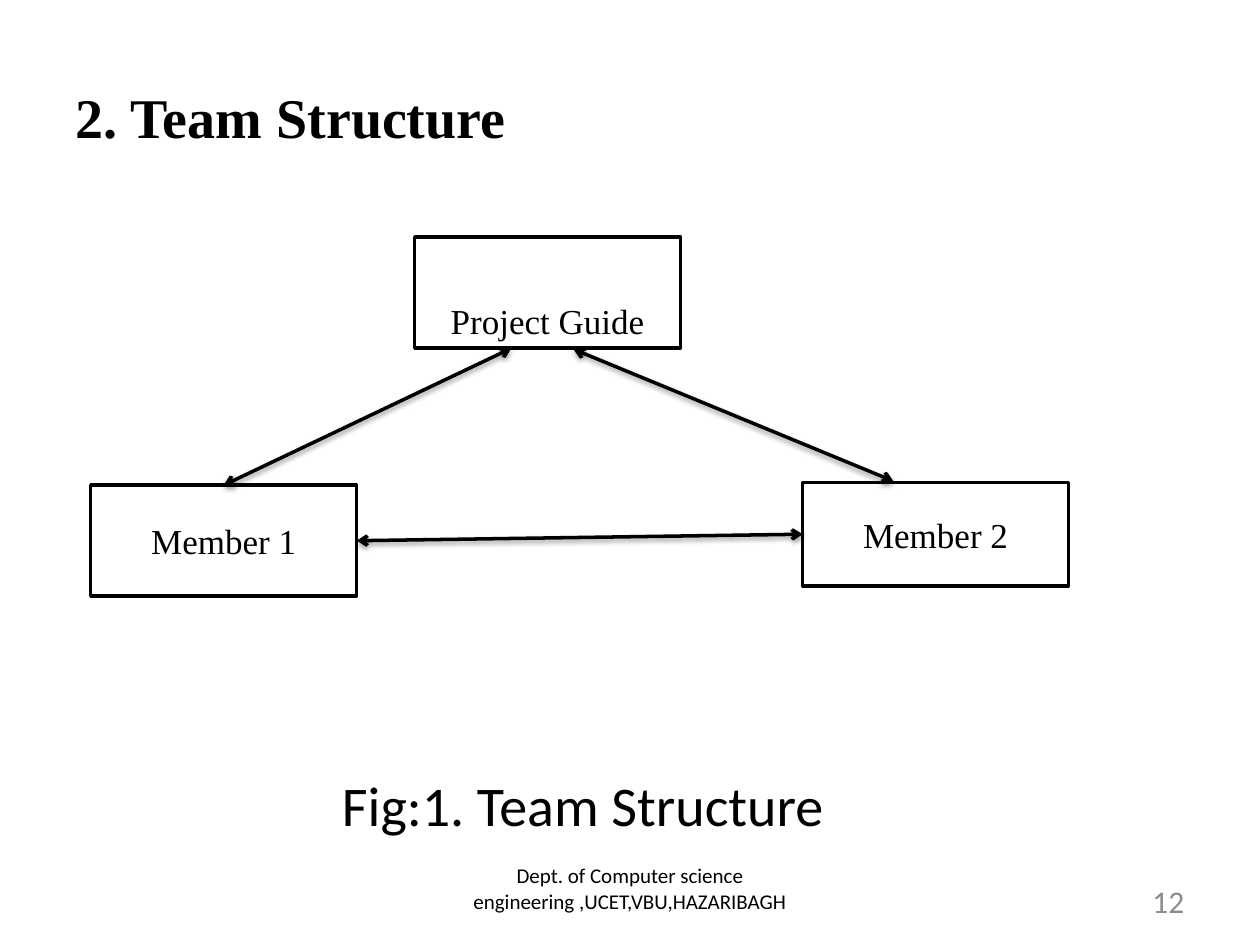
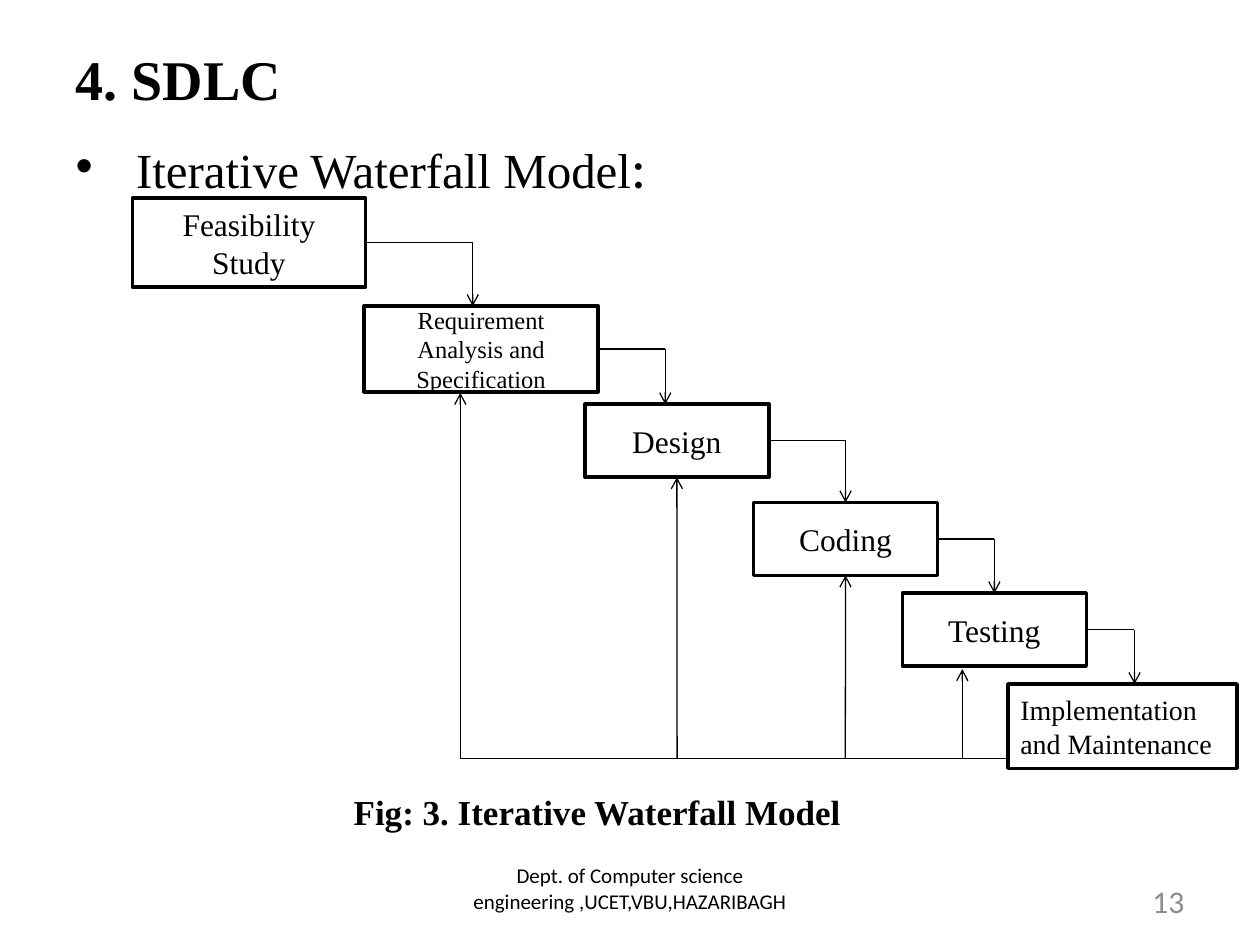
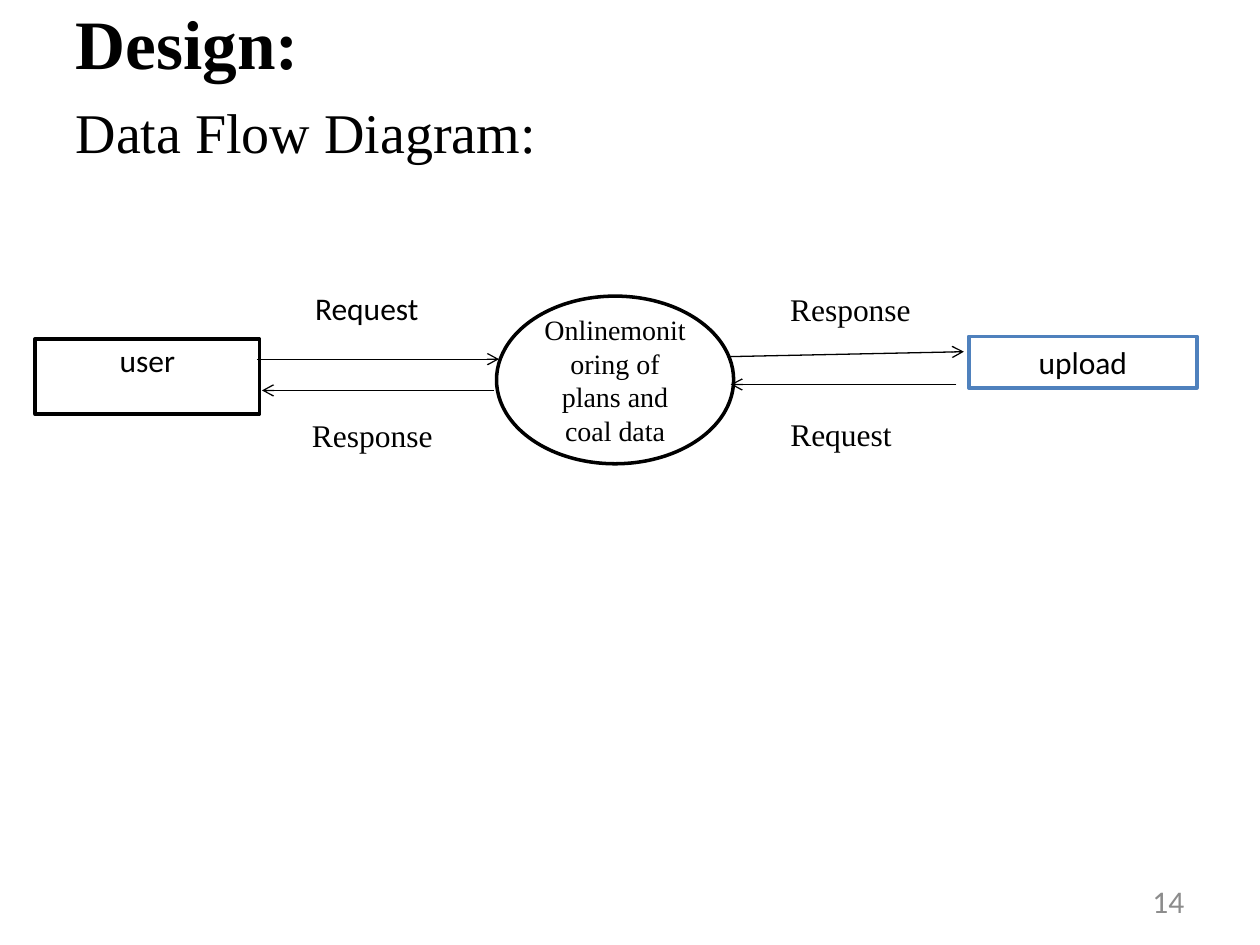
from copy import deepcopy
from dataclasses import dataclass

from lxml.etree import SubElement
from pptx import Presentation
from pptx.dml.color import RGBColor
from pptx.enum.shapes import MSO_CONNECTOR, MSO_SHAPE, PP_PLACEHOLDER
from pptx.enum.text import MSO_ANCHOR, MSO_AUTO_SIZE, PP_ALIGN
from pptx.oxml import parse_xml
from pptx.oxml.ns import nsdecls, qn
from pptx.util import Cm, Pt


@dataclass(frozen=True)
class Theme:
    ink: RGBColor = RGBColor(0x00, 0x00, 0x00)
    paper: RGBColor = RGBColor(0xFF, 0xFF, 0xFF)
    accent: RGBColor = RGBColor(0x4F, 0x81, 0xBD)
    muted: RGBColor = RGBColor(0x8C, 0x8C, 0x8C)
    serif: str = "Times New Roman"
    sans: str = "Calibri"
    heading: float = 32
    big_heading: float = 39.6
    subheading: float = 28
    member: float = 20
    label: float = 18
    dense: float = 16
    small: float = 14
    footer: float = 12
    outline: float = 2
    flow: float = 0.75


THEME = Theme()
TOP, LEFT, BOTTOM, RIGHT = range(4)
MARGIN_LEFT, CONTENT_WIDTH = 1.27, 22.86
DEPARTMENT = "Dept. of Computer science engineering ,UCET,VBU,HAZARIBAGH"
SOFT_SHADOW = (
    f'<a:effectLst {nsdecls("a")}><a:outerShdw blurRad="39370" dist="20320" dir="5400000" '
    'rotWithShape="0"><a:srgbClr val="000000"><a:alpha val="38000"/></a:srgbClr>'
    "</a:outerShdw></a:effectLst>"
)


def draw_box(slide, text, place, size=THEME.label, font=THEME.sans,
             outline=THEME.ink, kind=MSO_SHAPE.RECTANGLE):
    box = slide.shapes.add_shape(kind, *map(Cm, place))
    box.shadow.inherit = False
    box.fill.solid()
    box.fill.fore_color.rgb = THEME.paper
    box.line.color.rgb = outline
    box.line.width = Pt(THEME.outline)
    box.text_frame.text = text
    box.text_frame.word_wrap = True
    box.text_frame.vertical_anchor = MSO_ANCHOR.MIDDLE
    for paragraph in box.text_frame.paragraphs:
        paragraph.alignment = PP_ALIGN.CENTER
        paragraph.font.size = Pt(size)
        paragraph.font.name = font
        paragraph.font.color.rgb = THEME.ink
    return box


def draw_line(slide, start, end, heads=(), width=THEME.flow, shadow=False):
    """Each end is a point (x, y) in cm or a pair (shape, side) to join."""
    joins = [isinstance(place[0], (int, float)) is False for place in (start, end)]
    points = [(0, 0) if joined else place for joined, place in zip(joins, (start, end))]
    line = slide.shapes.add_connector(
        MSO_CONNECTOR.STRAIGHT, *map(Cm, points[0] + points[1]))
    if joins[0]:
        line.begin_connect(*start)
    if joins[1]:
        line.end_connect(*end)
    line.line.color.rgb = THEME.ink
    line.line.width = Pt(width)
    properties = line.element.spPr
    for head in heads:
        SubElement(properties.find(qn("a:ln")), qn(f"a:{head}"), type="arrow")
    if shadow:
        properties.append(parse_xml(SOFT_SHADOW))
    else:
        SubElement(properties, qn("a:effectLst"))


prs = Presentation()
prs.slide_width, prs.slide_height = Cm(25.4), Cm(19.05)
first_number = 12
prs.element.set("firstSlideNum", str(first_number))

# title, size, top, height; body runs, top, height; footer shown
outline = [
    ("2. Team Structure", THEME.heading, 0.76, 3.18,
     [("Fig:1. Team Structure", THEME.heading, THEME.sans)], 3.56, 13.46, True),
    ("4. SDLC", THEME.heading, 0.76, 1.65,
     [("Iterative Waterfall Model", THEME.subheading, THEME.serif),
      (":", THEME.heading, THEME.sans)], 2.39, 16.66, True),
    ("Design:", THEME.big_heading, 0.15, 1.4,
     [("Data Flow Diagram:", THEME.heading, THEME.serif)], 1.68, 15.88, False),
]
for number, (heading, size, title_top, title_height, body_runs,
             body_top, body_height, has_footer) in enumerate(outline, first_number):
    slide = prs.slides.add_slide(prs.slide_layouts[1])
    title, body = slide.shapes.title, slide.placeholders[1]
    for holder, top, height in ((title, title_top, title_height),
                                (body, body_top, body_height)):
        holder.left, holder.width = Cm(MARGIN_LEFT), Cm(CONTENT_WIDTH)
        holder.top, holder.height = Cm(top), Cm(height)
        holder.text_frame.auto_size = MSO_AUTO_SIZE.NONE
    title.text_frame.text = heading
    title.text_frame.vertical_anchor = MSO_ANCHOR.MIDDLE
    title_line = title.text_frame.paragraphs[0]
    title_line.alignment = PP_ALIGN.LEFT
    title_line.font.size, title_line.font.bold = Pt(size), True
    title_line.font.name, title_line.font.color.rgb = THEME.serif, THEME.ink

    body.text_frame.margin_top = Cm(0.28)
    body_line = body.text_frame.paragraphs[0]
    body_line.space_before = Pt(0)
    for text, run_size, font in body_runs:
        run = body_line.add_run()
        run.text = text
        run.font.size, run.font.name = Pt(run_size), font
        run.font.color.rgb = THEME.ink

    shown = [PP_PLACEHOLDER.SLIDE_NUMBER] + [PP_PLACEHOLDER.FOOTER] * has_footer
    for holder in slide.slide_layout.placeholders:
        if holder.placeholder_format.type in shown:
            slide.shapes.element.append(deepcopy(holder.element))
    for holder in slide.placeholders:
        if holder.placeholder_format.type == PP_PLACEHOLDER.SLIDE_NUMBER:
            for field in holder.element.iter(qn("a:fld")):
                field.find(qn("a:t")).text = str(number)
            holder.text_frame.paragraphs[0].font.color.rgb = THEME.muted
        elif holder.placeholder_format.type == PP_PLACEHOLDER.FOOTER:
            holder.left, holder.top = Cm(8.68), Cm(17.4)
            holder.width, holder.height = Cm(8.04), Cm(1.01)
            holder.text_frame.text = DEPARTMENT
            department = holder.text_frame.paragraphs[0]
            department.alignment = PP_ALIGN.CENTER
            department.font.size, department.font.name = Pt(THEME.footer), THEME.sans
            department.font.color.rgb = THEME.ink

team, lifecycle, data_flow = prs.slides

# Body indents and bullets: (slide, left margin, first line indent, bullet)
for slide, margin, indent, bullet in ((team, 5.37, 0, False),
                                      (lifecycle, 1.22, -1.22, True),
                                      (data_flow, 0, 0, False)):
    properties = slide.placeholders[1].text_frame.paragraphs[0]._p.get_or_add_pPr()
    properties.set("marL", str(Cm(margin)))
    properties.set("indent", str(Cm(indent)))
    if bullet:
        SubElement(properties, qn("a:buSzPts"), val=str(THEME.heading * 100))
    else:
        SubElement(properties, qn("a:buNone"))

# Team structure
team.placeholders[1].text_frame.vertical_anchor = MSO_ANCHOR.BOTTOM
guide, member_1, member_2 = [
    draw_box(team, text, place, THEME.member, THEME.serif)
    for text, place in (("Project Guide", (8.36, 4.78, 5.36, 2.24)),
                        ("Member 1", (1.83, 9.78, 5.36, 2.24)),
                        ("Member 2", (16.18, 9.73, 5.36, 2.08)))
]
guide.text_frame.vertical_anchor = MSO_ANCHOR.BOTTOM
for start, end in (((11.56, 7.04), (18.01, 9.7)),
                   ((10.31, 7.02), (member_1, TOP)),
                   ((member_1, RIGHT), (member_2, LEFT))):
    draw_line(team, start, end, ("headEnd", "tailEnd"), THEME.outline, shadow=True)

# Iterative waterfall
stages = [
    draw_box(lifecycle, text, place, size, THEME.serif)
    for text, place, size in (
        ("Feasibility\nStudy", (2.67, 3.99, 4.7, 1.8), THEME.label),
        ("Requirement Analysis and Specification", (7.34, 6.17, 4.72, 1.73), THEME.small),
        ("Design", (11.79, 8.15, 3.71, 1.47), THEME.label),
        ("Coding", (15.19, 10.13, 3.71, 1.47), THEME.label),
        ("Testing", (18.19, 11.96, 3.71, 1.47), THEME.label),
        ("Implementation and Maintenance", (20.32, 13.79, 4.62, 1.7), THEME.dense))
]
feasibility, requirement, design, coding, testing, implementation = stages
implementation.text_frame.paragraphs[0].alignment = PP_ALIGN.LEFT

# Where each step down enters the next stage; None is the middle of its top
entries = [9.53, 13.41, None, None, 22.87]
for stage, following, entry in zip(stages, stages[1:], entries):
    corner_x = entry or (following.left + following.width / 2) / Cm(1)
    corner = (corner_x, (stage.top + stage.height / 2) / Cm(1))
    tip = (corner_x, following.top / Cm(1)) if entry else (following, TOP)
    draw_line(lifecycle, (stage, RIGHT), corner)
    draw_line(lifecycle, corner, tip, ["tailEnd"])

caption = draw_box(lifecycle, "Fig: 3. Iterative Waterfall Model",
                   (6.88, 15.37, 10.9, 1.96), THEME.member, THEME.serif, THEME.paper)
caption.text_frame.paragraphs[0].alignment = PP_ALIGN.LEFT
caption.text_frame.paragraphs[0].font.bold = True

feedback_y = 15.29
draw_line(lifecycle, (20.32, feedback_y), (9.28, feedback_y))
for feedback_x, tip in ((19.4, (19.4, 13.49)), (17.04, (coding, BOTTOM)),
                        (13.65, (design, BOTTOM)), (9.28, (9.28, 7.92))):
    draw_line(lifecycle, (feedback_x, feedback_y), tip, ["tailEnd"])

# Data flow
user = draw_box(data_flow, "user", (0.71, 6.83, 4.52, 1.52))
user.text_frame.vertical_anchor = MSO_ANCHOR.TOP
user.text_frame.margin_top = Cm(0.05)
draw_box(data_flow, "Onlinemonitoring of plans and coal data", (10.01, 5.97, 4.78, 3.38),
         THEME.dense, THEME.serif, kind=MSO_SHAPE.OVAL)
for start, end in (((5.18, 7.24), (10.06, 7.24)), ((14.66, 7.19), (19.43, 7.09)),
                   ((9.96, 7.87), (5.28, 7.87)), ((19.28, 7.75), (14.73, 7.75))):
    draw_line(data_flow, start, end, ["tailEnd"])
for message, place, font in (("Request", (5.92, 5.74, 2.95, 0.94), THEME.sans),
                             ("Response", (15.47, 5.74, 3.35, 0.97), THEME.serif),
                             ("Response", (6.02, 8.2, 2.97, 1.14), THEME.serif),
                             ("Request", (15.52, 8.23, 2.87, 1.02), THEME.serif)):
    draw_box(data_flow, message, place, font=font, outline=THEME.paper)
draw_box(data_flow, "upload", (19.53, 6.78, 4.6, 1.04), outline=THEME.accent)

prs.save("out.pptx")
